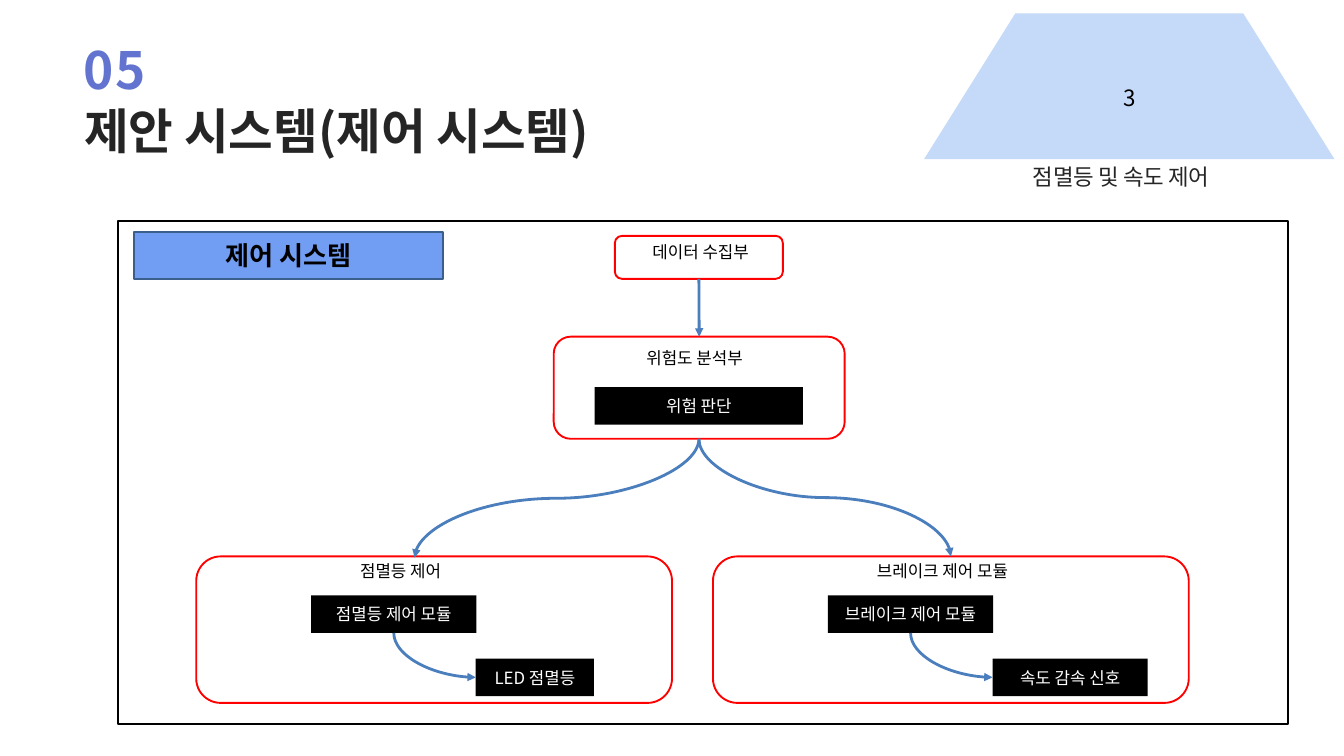
from dataclasses import dataclass

from lxml import etree
from pptx import Presentation
from pptx.dml.color import RGBColor
from pptx.enum.shapes import MSO_CONNECTOR, MSO_SHAPE
from pptx.enum.text import MSO_ANCHOR, MSO_AUTO_SIZE, PP_ALIGN
from pptx.oxml.ns import qn
from pptx.util import Inches, Pt

RECT = MSO_SHAPE.RECTANGLE
ROUNDED = MSO_SHAPE.ROUNDED_RECTANGLE
TRAPEZOID = MSO_SHAPE.TRAPEZOID
STRAIGHT = MSO_CONNECTOR.STRAIGHT
CURVE = MSO_CONNECTOR.CURVE
TOP, MIDDLE = MSO_ANCHOR.TOP, MSO_ANCHOR.MIDDLE
LEFT, CENTER = PP_ALIGN.LEFT, PP_ALIGN.CENTER
NO_FIT, GROW = MSO_AUTO_SIZE.NONE, MSO_AUTO_SIZE.SHAPE_TO_FIT_TEXT


@dataclass(frozen=True)
class Theme:
    font: str = "Noto Sans CJK KR"
    accent: str = "6274CF"
    heading: str = "252525"
    caption: str = "272525"
    black: str = "000000"
    white: str = "FFFFFF"
    red: str = "FF0000"
    arrow: str = "4B7EBC"
    badge: str = "C5DAF8"
    banner: str = "719DF3"
    banner_edge: str = "3A5F8C"
    number_size: float = 55
    title_size: float = 52
    banner_size: float = 28
    caption_size: float = 24
    label_size: float = 18
    outline: float = 2
    arrow_width: float = 3


class SlideBuilder:
    def __init__(self, slide, theme):
        self.slide = slide
        self.theme = theme

    def set_text(self, frame, text, size, color, bold=False, align=LEFT, leading=None,
                 tracking=None):
        frame.text = text
        paragraph = frame.paragraphs[0]
        paragraph.alignment = align
        if leading:
            paragraph.line_spacing = Pt(leading)
        run = paragraph.runs[0]
        run.font.size = Pt(size)
        run.font.bold = bold
        run.font.color.rgb = RGBColor.from_string(color)
        run.font.name = self.theme.font
        properties = run.font._element
        etree.SubElement(properties, qn("a:ea")).set("typeface", self.theme.font)
        if tracking:
            properties.set("spc", str(round(tracking * 100)))

    def fit_heading(self, frame, wrap, fit):
        frame.margin_left = frame.margin_right = frame.margin_top = frame.margin_bottom = 0
        frame.word_wrap = wrap
        frame.auto_size = fit
        frame.vertical_anchor = TOP

    def heading(self, box, text, size, color, wrap=True, fit=GROW, **style):
        frame = self.slide.shapes.add_textbox(*map(Inches, box)).text_frame
        self.fit_heading(frame, wrap, fit)
        self.set_text(frame, text, size, color, **style)

    def title(self, box, text, leading):
        title = self.slide.shapes.title
        title.left, title.top, title.width, title.height = map(Inches, box)
        self.fit_heading(title.text_frame, True, GROW)
        self.set_text(title.text_frame, text, self.theme.title_size, self.theme.heading,
                      bold=True, leading=leading)

    def label(self, box, text):
        frame = self.slide.shapes.add_textbox(*map(Inches, box)).text_frame
        frame.word_wrap = True
        frame.auto_size = GROW
        self.set_text(frame, text, self.theme.label_size, self.theme.black)

    def shape(self, kind, box, fill=None, edge=None):
        shape = self.slide.shapes.add_shape(kind, *map(Inches, box))
        shape.shadow.inherit = False
        if fill:
            shape.fill.solid()
            shape.fill.fore_color.rgb = RGBColor.from_string(fill)
        else:
            shape.fill.background()
        if edge:
            shape.line.color.rgb = RGBColor.from_string(edge)
            shape.line.width = Pt(self.theme.outline)
        else:
            shape.line.fill.background()
        return shape

    def group(self, box):
        return self.shape(ROUNDED, box, self.theme.white, self.theme.red)

    def captioned(self, kind, box, text, size, color, fill, edge=None, bold=False):
        shape = self.shape(kind, box, fill, edge)
        shape.text_frame.vertical_anchor = MIDDLE
        self.set_text(shape.text_frame, text, size, color, bold, CENTER)
        return shape

    def module(self, box, text):
        theme = self.theme
        return self.captioned(RECT, box, text, theme.label_size, theme.white, theme.black)

    def style_arrow(self, connector):
        connector.line.color.rgb = RGBColor.from_string(self.theme.arrow)
        connector.line.width = Pt(self.theme.arrow_width)
        properties = connector._element.spPr
        etree.SubElement(properties.find(qn("a:ln")), qn("a:tailEnd")).set("type", "triangle")
        etree.SubElement(properties, qn("a:effectLst"))

    def arrow_down(self, upper, lower):
        connector = self.slide.shapes.add_connector(STRAIGHT, 0, 0, 0, 0)
        connector.begin_connect(upper, 2)
        connector.end_connect(lower, 0)
        self.style_arrow(connector)

    def curve_down(self, start, end, preset="curvedConnector3"):
        (x1, y1), (x2, y2) = start, end
        middle_x, middle_y = (x1 + x2) / 2, (y1 + y2) / 2
        half_length, half_span = (y2 - y1) / 2, abs(x2 - x1) / 2
        corners = (middle_x - half_length, middle_y - half_span,
                   middle_x + half_length, middle_y + half_span)
        connector = self.slide.shapes.add_connector(CURVE, *map(Inches, corners))
        properties = connector._element.spPr
        properties.find(qn("a:prstGeom")).set("prst", preset)
        frame = properties.find(qn("a:xfrm"))
        rightward = x2 > x1
        frame.set("rot", str((270 if rightward else 90) * 60000))
        if rightward:
            frame.set("flipH", "1")
        self.style_arrow(connector)

    def control_group(self, left, name, name_width, module, output, output_width):
        self.group((left, 8.28, 7.08, 2.18))
        self.module((left + 1.71, 8.86, 2.46, 0.56), module)
        self.label((left + 2.34, 8.3, name_width, 0.4), name)
        self.module((left + 4.16, 9.8, output_width, 0.56), output)
        self.curve_down((left + 2.94, 9.42), (left + 4.16, 10.08), "curvedConnector2")


def main():
    presentation = Presentation()
    presentation.slide_width = Inches(20)
    presentation.slide_height = Inches(11.25)
    theme = Theme()
    slide = presentation.slides.add_slide(presentation.slide_layouts[5])
    builder = SlideBuilder(slide, theme)

    builder.heading((1.25, -0.04, 1.53, 1.37), "05", theme.number_size, theme.accent,
                    bold=True, leading=110, tracking=1.3)
    builder.title((1.25, 0.93, 8.16, 1.3), "제안 시스템(제어 시스템)", 104)
    builder.heading((15.37, 2.44, 2.89, 0.69), "점멸등 및 속도 제어", theme.caption_size,
                    theme.caption, wrap=False, fit=NO_FIT, leading=27.5, tracking=-0.4)
    badge = builder.captioned(TRAPEZOID, (13.75, 0.2, 6.11, 2.17), "3",
                              theme.caption_size, theme.black, theme.badge)
    badge.adjustments[0] = 0.626

    builder.shape(RECT, (1.75, 3.29, 17.42, 7.48), edge=theme.black)
    builder.captioned(RECT, (2, 3.45, 4.59, 0.7), "제어 시스템", theme.banner_size,
                      theme.black, theme.banner, theme.banner_edge, bold=True)

    collection = builder.group((9.15, 3.51, 2.5, 0.64))
    builder.label((9.61, 3.55, 1.92, 0.4), "데이터 수집부")
    analysis = builder.group((8.24, 5.01, 4.33, 1.52))
    builder.label((9.52, 5.12, 1.83, 0.4), "위험도 분석부")
    builder.module((8.85, 5.76, 3.1, 0.56), "위험 판단")
    builder.arrow_down(collection, analysis)

    builder.control_group(2.92, "점멸등 제어", 1.83, "점멸등 제어 모듈", "LED 점멸등", 1.76)
    builder.control_group(10.61, "브레이크 제어 모듈", 2.42, "브레이크 제어 모듈",
                          "속도 감속 신호", 2.31)
    for target in ((6.17, 8.3), (14.15, 8.28)):
        builder.curve_down((10.4, 6.53), target)

    presentation.save("out.pptx")


if __name__ == "__main__":
    main()
